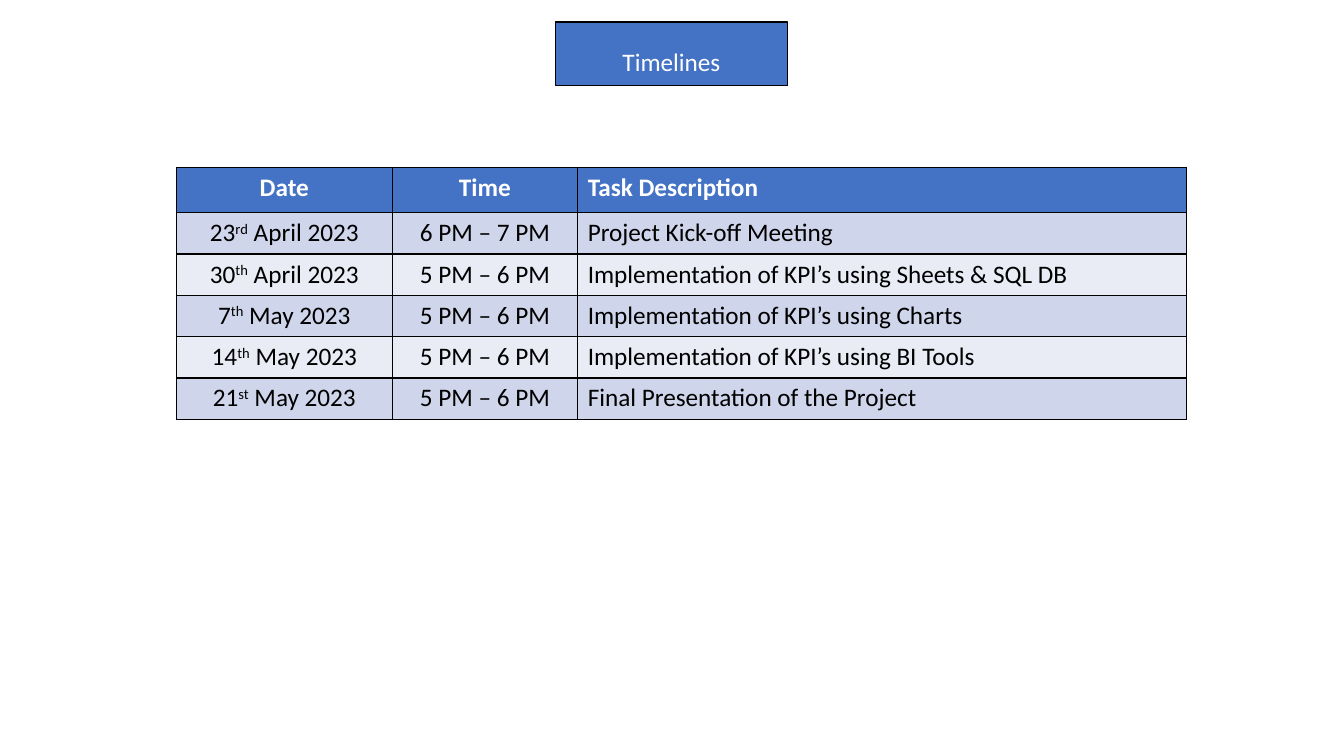
from lxml import etree
from pptx import Presentation, util as u
from pptx.dml import color
from pptx.enum import text
from pptx.oxml import ns

HUES = {"blue": "4472C4", "dark": "CFD5EA", "light": "E9EBF5",
        "black": "000000", "white": "FFFFFF"}
WIDTHS = [2.14, 1.84, 6.04]
HEADS = ["Date", "Time", "Task Description"]
TASKS = [
    (("23", "rd", " April 2023"), "6 PM – 7 PM", "Project Kick-off Meeting"),
    (("30", "th", " April 2023"), "5 PM – 6 PM", "Implementation of KPI’s using Sheets & SQL DB"),
    (("7", "th", " May 2023"), "5 PM – 6 PM", "Implementation of KPI’s using Charts"),
    (("14", "th", " May 2023"), "5 PM – 6 PM", "Implementation of KPI’s using BI Tools"),
    (("21", "st", " May 2023"), "5 PM – 6 PM", "Final Presentation of the Project"),
]


class Deck:
    font, size, line = "Calibri", u.Pt(18), u.Pt(1)

    def __init__(self):
        self.file = Presentation()
        self.file.slide_width = u.Inches(13.33)
        self.file.slide_height = u.Inches(7.5)
        self.slide = self.file.slides.add_slide(self.file.slide_layouts[5])

    def hue(self, name):
        return color.RGBColor.from_string(HUES[name])

    def paint(self, item, name):
        item.fill.solid()
        item.fill.fore_color.rgb = self.hue(name)

    def style(self, para, name, bold=False):
        for run in para.runs:
            run.font.name, run.font.size, run.font.bold = self.font, self.size, bold
            run.font.color.rgb = self.hue(name)

    def title(self, words, left, top, width, height):
        box = self.slide.shapes.title
        box.left, box.top, box.width, box.height = map(u.Inches, (left, top, width, height))
        self.paint(box, "blue")
        box.line.color.rgb = self.hue("black")
        box.line.width = self.line
        frame = box.text_frame
        frame.text = words
        frame.word_wrap = True
        frame.auto_size = text.MSO_AUTO_SIZE.NONE
        frame.vertical_anchor = text.MSO_ANCHOR.MIDDLE
        para = frame.paragraphs[0]
        para.alignment = text.PP_ALIGN.CENTER
        para.line_spacing = 1.5
        self.style(para, "white")

    def border(self, cell):
        props = cell._tc.get_or_add_tcPr()
        for side in ("lnL", "lnR", "lnT", "lnB"):
            edge = etree.SubElement(props, ns.qn("a:" + side), w=str(self.line))
            fill = etree.SubElement(edge, ns.qn("a:solidFill"))
            etree.SubElement(fill, ns.qn("a:srgbClr"), val=HUES["black"])

    def cell(self, cell, words, fill, ink, bold, align):
        self.border(cell)
        self.paint(cell, fill)
        para = cell.text_frame.paragraphs[0]
        para.alignment = align
        if isinstance(words, tuple):
            for part in words:
                para.add_run().text = part
            para.runs[1].font._element.set("baseline", "30000")
        else:
            para.text = words
        self.style(para, ink, bold)

    def table(self, heads, rows, widths, left, top, first, height):
        total = first + height * len(rows)
        grid = self.slide.shapes.add_table(
            len(rows) + 1, len(widths),
            *map(u.Inches, (left, top, sum(widths), total))).table
        for col, width in zip(grid.columns, widths):
            col.width = u.Inches(width)
        for r, row in enumerate([heads, *rows]):
            head = r == 0
            grid.rows[r].height = u.Inches(first if head else height)
            fill = "blue" if head else ("light", "dark")[r % 2]
            for c, words in enumerate(row):
                align = text.PP_ALIGN.CENTER if c < 2 else text.PP_ALIGN.LEFT
                self.cell(grid.cell(r, c), words, fill,
                          "white" if head else "black", head, align)


deck = Deck()
deck.table(HEADS, TASKS, WIDTHS, 1.75, 1.66, 0.45, 0.41)
deck.title("Timelines", 5.51, 0.22, 2.3, 0.63)
deck.file.save("out.pptx")
